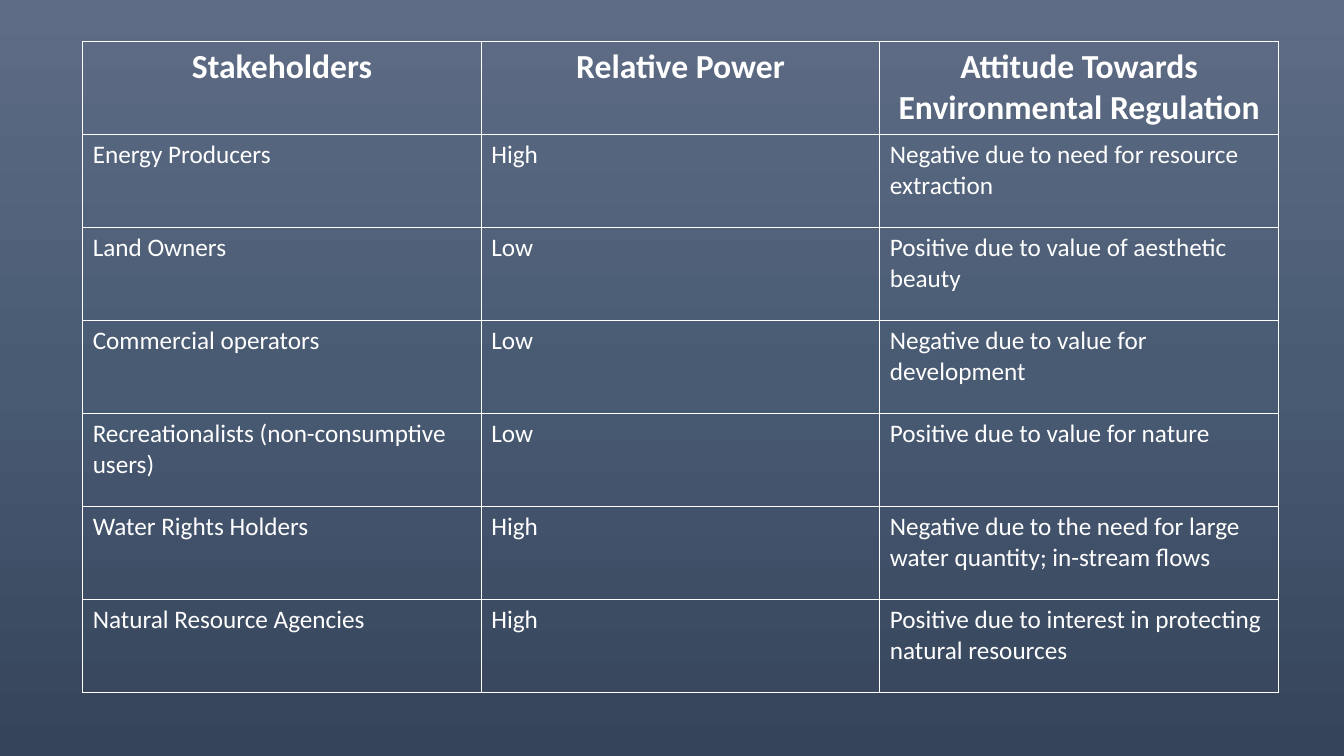
from lxml import etree
from pptx import Presentation
from pptx import util as u
from pptx.dml.color import RGBColor
from pptx.enum import text
from pptx.oxml.ns import qn

COLORS = {"top": "5E6D85", "middle": "495A73", "bottom": "35445A", "white": "FFFFFF"}
HEADER = {"size": u.Pt(24), "bold": True}
BODY = {"size": u.Pt(18), "bold": False}
STAKEHOLDERS = [
    ("Stakeholders", "Relative Power", "Attitude Towards Environmental Regulation"),
    ("Energy Producers", "High", "Negative due to need for resource extraction"),
    ("Land Owners", "Low", "Positive due to value of aesthetic beauty"),
    ("Commercial operators", "Low", "Negative due to value for development"),
    ("Recreationalists (non-consumptive users)", "Low", "Positive due to value for nature"),
    ("Water Rights Holders", "High",
     "Negative due to the need for large water quantity; in-stream flows"),
    ("Natural Resource Agencies", "High",
     "Positive due to interest in protecting natural resources"),
]


def paint_background(s):
    """Fill the slide with a three-stop gradient running downwards."""
    fill = s.background.fill
    fill.gradient()
    fill.gradient_angle = 270
    stops = next(s.element.iter(qn("a:gsLst")))
    for stop in list(stops):
        stops.remove(stop)
    for position, name in ((0, "top"), (50, "middle"), (100, "bottom")):
        stop = etree.SubElement(stops, qn("a:gs"), pos=str(position * 1000))
        etree.SubElement(stop, qn("a:srgbClr"), val=COLORS[name])


def add_borders(cell):
    """Draw a thin white line on each side of a cell."""
    properties = cell._tc.get_or_add_tcPr()
    for index, side in enumerate(("lnL", "lnR", "lnT", "lnB")):
        line = etree.Element(qn(f"a:{side}"), w=str(u.Pt(1)))
        solid = etree.SubElement(line, qn("a:solidFill"))
        etree.SubElement(solid, qn("a:srgbClr"), val=COLORS["white"])
        properties.insert(index, line)


def fill_cell(cell, wording, is_header):
    """Write and format one cell."""
    cell.fill.background()
    add_borders(cell)
    p = cell.text_frame.paragraphs[0]
    p.alignment = text.PP_ALIGN.CENTER if is_header else text.PP_ALIGN.LEFT
    r = p.add_run()
    r.text = wording
    r.font.name = "Calibri"
    r.font.color.rgb = RGBColor.from_string(COLORS["white"])
    for name, value in (HEADER if is_header else BODY).items():
        setattr(r.font, name, value)


def add_stakeholder_table(s, left, top, width, height):
    """Place the stakeholder table in the given box."""
    rows, columns = len(STAKEHOLDERS), len(STAKEHOLDERS[0])
    table = s.shapes.add_table(rows, columns, left, top, width, height).table
    table.horz_banding = False
    for row_index, row in enumerate(STAKEHOLDERS):
        for column_index, wording in enumerate(row):
            fill_cell(table.cell(row_index, column_index), wording, row_index == 0)


def main():
    """Build and save the presentation."""
    prs = Presentation()
    prs.slide_width, prs.slide_height = u.Inches(13.33), u.Inches(7.5)
    s = prs.slides.add_slide(prs.slide_layouts[6])
    paint_background(s)
    add_stakeholder_table(s, u.Inches(0.82), u.Inches(0.41), u.Inches(11.86), u.Inches(6.46))
    prs.save("out.pptx")


if __name__ == "__main__":
    main()
